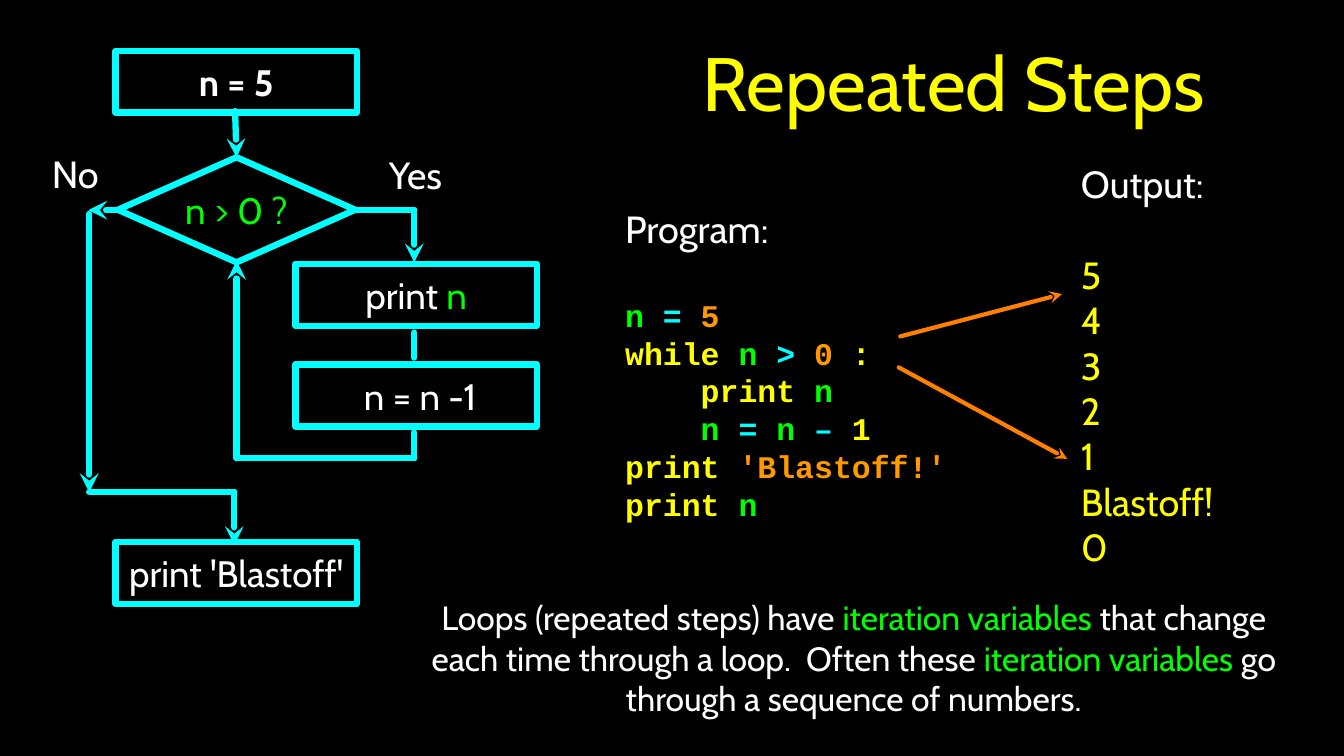
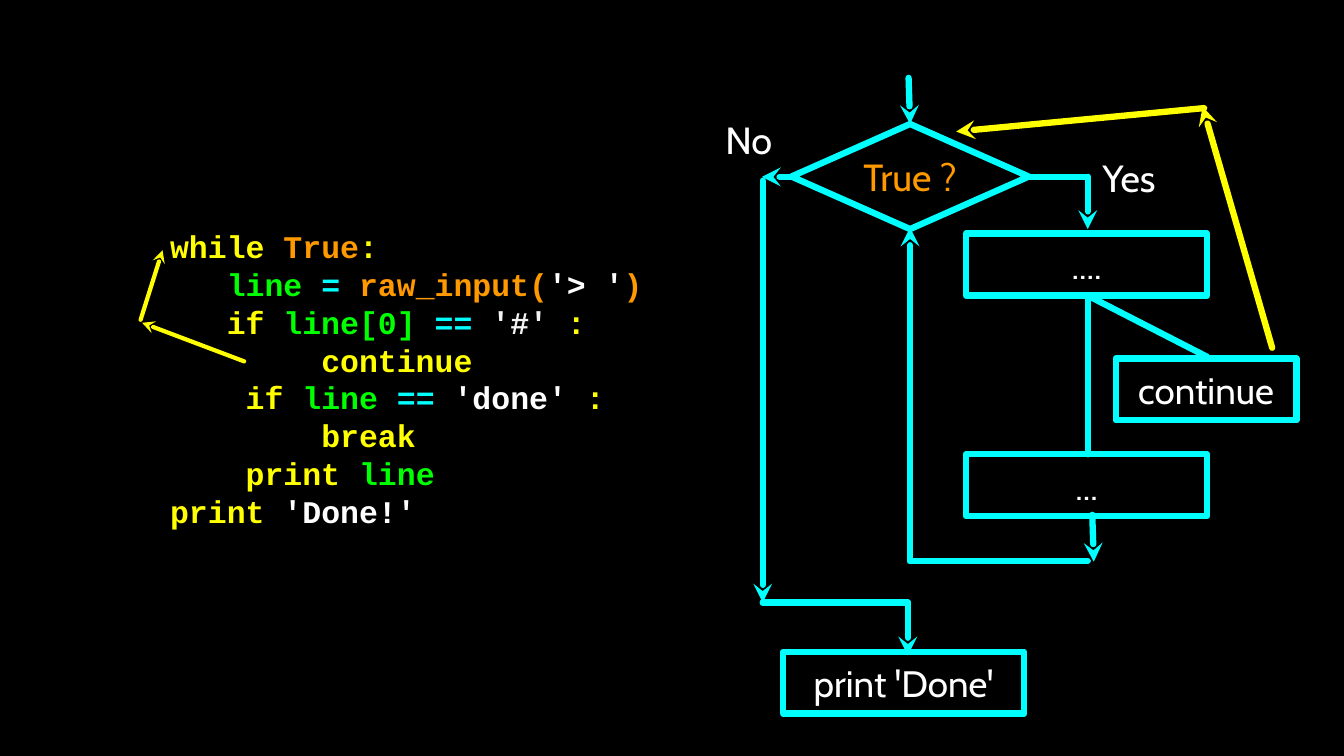
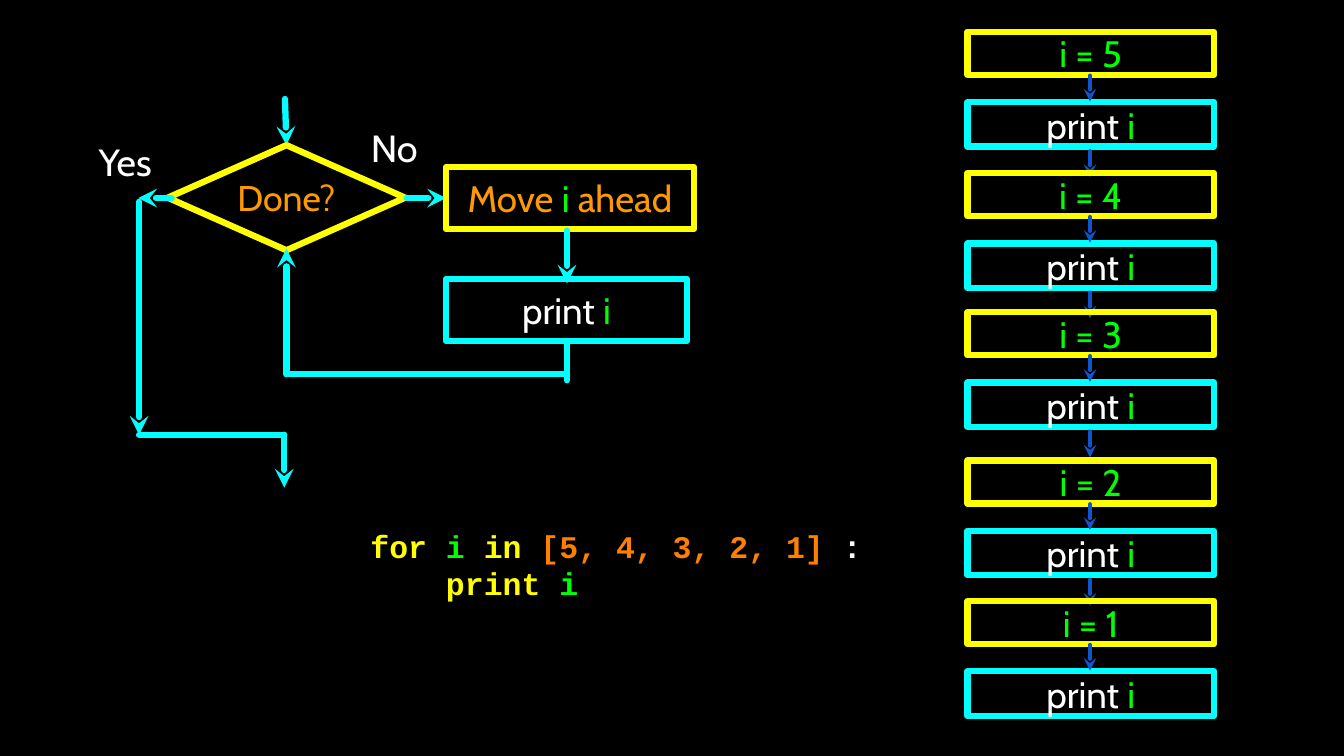
from pptx import Presentation
from pptx.dml.color import RGBColor
from pptx.enum.shapes import MSO_CONNECTOR, MSO_SHAPE
from pptx.enum.text import MSO_ANCHOR, PP_ALIGN
from pptx.oxml.ns import qn
from pptx.util import Inches, Pt
from lxml.etree import SubElement

BLACK = RGBColor(0x00, 0x00, 0x00)
WHITE = RGBColor(0xFF, 0xFF, 0xFF)
PALE = RGBColor(0xF3, 0xF3, 0xF3)
YELLOW = RGBColor(0xFF, 0xFF, 0x00)
GREEN = RGBColor(0x00, 0xFF, 0x00)
CYAN = RGBColor(0x00, 0xFF, 0xFF)
AMBER = RGBColor(0xFF, 0x99, 0x00)
ORANGE = RGBColor(0xFF, 0x7F, 0x00)
BLUE = RGBColor(0x11, 0x55, 0xCC)

SANS = "Cabin"
MONO = "Courier New"
CHAR = 0.25
STEP_W, STEP_H = 3.19, 0.82
MID = 1.57
LEFT = -0.38
SIDE = 0.7
RIGHT = 3.92


def write(frame, rows, size=35, font=SANS, color=WHITE, bold=False,
          align=PP_ALIGN.CENTER, after=0, line=None, indents=None):
    frame.word_wrap = True
    frame.vertical_anchor = MSO_ANCHOR.MIDDLE
    frame.margin_left = frame.margin_right = 0
    frame.margin_top = frame.margin_bottom = 0
    for index, row in enumerate(rows):
        first = frame.paragraphs[0]
        para = frame.add_paragraph() if first.runs else first
        para.alignment = align
        para.space_after = Pt(after)
        if line:
            para.line_spacing = Pt(line)
        if indents:
            para._p.get_or_add_pPr().set("marL", str(Inches(indents[index] * CHAR)))
        for part in [row] if isinstance(row, str) else row:
            words, tint = (part, color) if isinstance(part, str) else part
            run = para.add_run()
            run.text = words
            run.font.name = font
            run.font.size = Pt(size)
            run.font.bold = bold
            run.font.color.rgb = tint


def label(slide, box, rows, **style):
    frame = slide.shapes.add_textbox(*map(Inches, box)).text_frame
    write(frame, rows, **style)
    return frame


def code(frame, rows):
    write(frame, [row[1:] for row in rows], size=30, font=MONO, bold=True,
          color=YELLOW, align=PP_ALIGN.LEFT, line=36,
          indents=[row[0] for row in rows])


def shape(slide, kind, box, row, edge=CYAN, **style):
    item = slide.shapes.add_shape(kind, *map(Inches, box))
    item.shadow.inherit = False
    item.fill.background()
    item.line.color.rgb = edge
    item.line.width = Pt(6)
    write(item.text_frame, [row], **style)


def step(slide, x, y, row, wide=STEP_W, high=STEP_H, **style):
    shape(slide, MSO_SHAPE.RECTANGLE, (x, y, wide, high), row, **style)


def link(slide, start, end, color=CYAN, width=6, arrow=False):
    item = slide.shapes.add_connector(
        MSO_CONNECTOR.STRAIGHT, *map(Inches, (*start, *end)))
    item.line.color.rgb = color
    item.line.width = Pt(width)
    line = item.line._get_or_add_ln()
    line.set("cap", "rnd")
    SubElement(line, qn("a:round"))
    if arrow:
        SubElement(line, qn("a:tailEnd"), type="stealth")
    SubElement(item._element.spPr, qn("a:effectLst"))


def arrow(slide, start, end, **style):
    link(slide, start, end, arrow=True, **style)


def loop(slide, x, y, test, tint, drop, back, right, exit, stay, spot,
         edge=CYAN, size=35):
    def at(dx, dy):
        return x + dx, y + dy

    arrow(slide, at(1.55, -0.61), at(MID, 0))
    shape(slide, MSO_SHAPE.DIAMOND, (x, y, 3.14, 1.39), test, edge=edge,
          color=tint, size=size)
    arrow(slide, at(0.05, SIDE), at(-0.39, SIDE))
    arrow(slide, at(LEFT, 0.75), at(LEFT, drop))
    link(slide, at(LEFT, drop), at(1.54, drop))
    arrow(slide, at(1.54, drop), at(1.54, drop + 0.7))
    link(slide, at(right, back), at(MID, back))
    arrow(slide, at(MID, back), at(MID, 1.37))
    for words, place in ((exit, (-0.96, -0.13)), (stay, spot)):
        label(slide, (*at(*place), 0.79, 0.68), [words], size=36)


def branch(slide, x, y):
    turn = x + RIGHT, y + SIDE
    link(slide, (x + 3.13, y + SIDE), turn)
    arrow(slide, turn, (x + RIGHT, y + 1.39))


def steps(slide):
    x, y = 1.56, 2.08
    loop(slide, x, y, "n > 0 ?", GREEN, 4.43, 3.98, RIGHT, "No", "Yes", (3.54, -0.12))
    branch(slide, x, y)
    step(slide, x - 0.03, 0.67, "n = 5", bold=True)
    step(slide, x + 2.35, 3.49, ["print ", ("n", GREEN)])
    step(slide, x + 2.35, 4.82, " n = n -1")
    step(slide, x - 0.03, 7.17, "print 'Blastoff'")
    link(slide, (x + RIGHT, 4.4), (x + RIGHT, 4.73))
    link(slide, (x + RIGHT, 5.72), (x + RIGHT, y + 3.98))

    label(slide, (8.35, 0.17, 8.54, 1.82), ["Repeated Steps"], size=72, color=YELLOW)
    frame = label(slide, (8.27, 2.39, 4.49, 4.85), ["Program:"], size=36,
                  align=PP_ALIGN.LEFT, after=43)
    code(frame, [
        (0, ("n ", GREEN), ("= ", CYAN), ("5", AMBER)),
        (0, "while ", ("n ", GREEN), ("> ", CYAN), ("0", AMBER), " :"),
        (4, "print ", ("n", GREEN)),
        (4, ("n ", GREEN), ("= ", CYAN), ("n ", GREEN), ("–", CYAN), " 1"),
        (0, "print ", ("'Blastoff!'", AMBER)),
        (0, "print ", ("n", GREEN)),
    ])
    frame = label(slide, (14.3, 2.21, 1.89, 5.24), ["Output:"], size=36,
                  align=PP_ALIGN.LEFT, after=43)
    write(frame, [*"54321", "Blastoff!", "0"], size=36, color=YELLOW,
          align=PP_ALIGN.LEFT)
    arrow(slide, (11.91, 4.45), (14.05, 3.89), color=ORANGE, width=4)
    arrow(slide, (11.89, 4.86), (14.12, 6.07), color=ORANGE, width=4)
    theme = ("iteration variables ", GREEN)
    label(slide, (5.49, 7.79, 11.61, 1.82), [[
        "Loops (repeated steps) have ", theme,
        "that change each time through a loop.  Often these ", theme,
        "go through a sequence of numbers."]], size=32)


def skip(slide):
    x, y = 10.47, 1.64
    mid = x + RIGHT
    loop(slide, x, y, "True ?", AMBER, 6.33, 5.78, RIGHT, "No", "Yes", (4.07, 0.36),
         size=36)
    branch(slide, x, y)
    step(slide, 12.78, 3.09, "....")
    step(slide, 12.78, 6.01, "...")
    step(slide, 14.76, 4.74, "continue", wide=2.39)
    step(slide, 10.36, 8.62, "print 'Done'")
    link(slide, (mid, 3.91), (mid, 6.01))
    link(slide, (mid, 3.91), (15.97, 4.72))
    arrow(slide, (14.45, 6.81), (14.47, 7.43))
    arrow(slide, (16.83, 4.6), (15.91, 1.41), color=YELLOW)
    arrow(slide, (15.93, 1.43), (12.65, 1.74), color=YELLOW)

    frame = label(slide, (2.25, 2.58, 6.88, 4.85), [])
    code(frame, [
        (0, "while ", ("True", AMBER), ":"),
        (3, ("line ", GREEN), ("= ", CYAN), ("raw_input(", AMBER),
         ("'> '", WHITE), (")", AMBER)),
        (3, "if", (" line[0] ", GREEN), ("== ", CYAN), ("'#' ", PALE), ":"),
        (8, "continue"),
        (4, "if ", ("line ", GREEN), ("== ", CYAN), ("'done' ", WHITE), ":"),
        (8, "break"),
        (4, "print ", ("line", GREEN)),
        (0, "print ", ("'Done!'", WHITE)),
    ])
    arrow(slide, (3.23, 4.78), (1.88, 4.27), color=YELLOW, width=4)
    arrow(slide, (1.86, 4.23), (2.15, 3.31), color=YELLOW, width=4)


def trace(slide, x, tops):
    mid = x + 1.62
    for count, top in zip(range(5, 0, -1), tops):
        step(slide, x, top, f"i = {count}", wide=3.26, high=0.57,
             edge=YELLOW, color=GREEN)
        step(slide, x, top + 0.93, ["print ", ("i", GREEN)], wide=3.26, high=0.59)
        for gap in (0.58, 1.58) if count > 1 else (0.58,):
            arrow(slide, (mid, top + gap), (mid, top + gap + 0.34),
                  color=BLUE, width=4)


def count(slide):
    x, y = 2.22, 1.92
    mid = x + 5.28
    loop(slide, x, y, "Done?", AMBER, 3.83, 3.03, 5.28, "Yes", "No", (2.6, -0.31),
         edge=YELLOW, size=34)
    arrow(slide, (x + 3.16, y + SIDE), (5.9, y + SIDE))
    step(slide, 5.9, 2.21, ["Move ", ("i", GREEN), " ahead"], wide=3.28,
         edge=YELLOW, color=AMBER)
    step(slide, 5.9, 3.69, ["print ", ("i", GREEN)])
    arrow(slide, (mid, 3.05), (mid, 3.75))
    link(slide, (mid, 4.51), (mid, 5.03))
    frame = label(slide, (4.9, 6.84, 6.85, 1.25), [])
    code(frame, [
        (0, "for ", ("i ", GREEN), "in ", ("[5, 4, 3, 2, 1] ", ORANGE), (":", WHITE)),
        (4, "print ", ("i", GREEN)),
    ])
    trace(slide, 12.8, (0.42, 2.29, 4.13, 6.09, 7.95))


def main():
    deck = Presentation()
    deck.slide_width, deck.slide_height = Inches(17.78), Inches(10)
    fill = deck.slide_master.background.fill
    fill.solid()
    fill.fore_color.rgb = BLACK
    for build in (steps, skip, count):
        build(deck.slides.add_slide(deck.slide_layouts[6]))
    deck.save("out.pptx")


if __name__ == "__main__":
    main()
